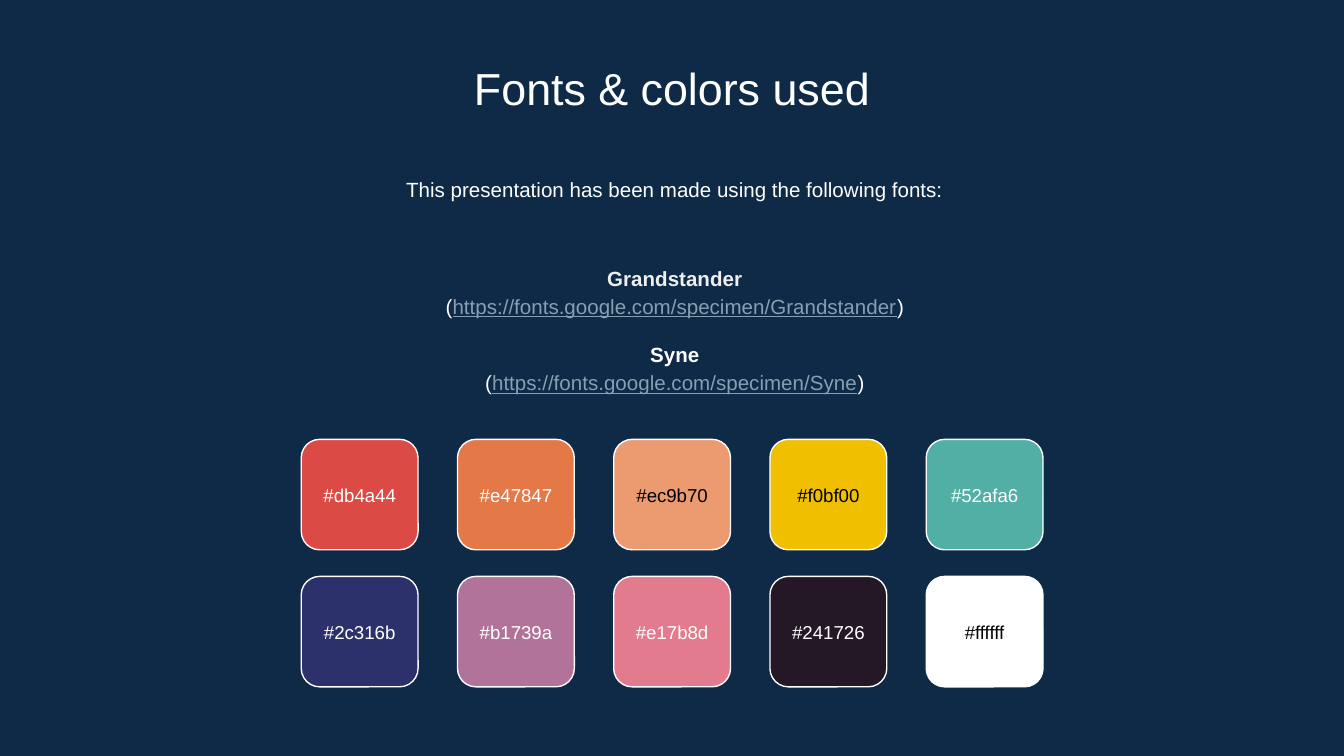
from dataclasses import dataclass

from pptx import Presentation
from pptx.dml.color import RGBColor
from pptx.enum.shapes import MSO_SHAPE
from pptx.enum.text import MSO_ANCHOR, MSO_AUTO_SIZE, PP_ALIGN
from pptx.util import Pt


@dataclass(frozen=True)
class Theme:
    font: str = "Arial"
    background: str = "0E2A47"
    light: str = "FFFFFF"
    dark: str = "000000"
    soft: str = "EFEFEF"
    link: str = "869FB2"
    title_size: float = 24
    body_size: float = 11
    label_size: float = 10
    outline: float = 0.75
    inset: float = 7.2


THEME = Theme()

FONTS = [
    ("Grandstander", "https://fonts.google.com/specimen/Grandstander", THEME.soft),
    ("Syne", "https://fonts.google.com/specimen/Syne", THEME.light),
]
SWATCHES = [
    ["#db4a44", "#e47847", "#ec9b70", "#f0bf00", "#52afa6"],
    ["#2c316b", "#b1739a", "#e17b8d", "#241726", "#ffffff"],
]


def color(code):
    return RGBColor.from_string(code.lstrip("#").upper())


def add_run(paragraph, text, size=THEME.body_size, fill=THEME.light,
            bold=False, underline=False):
    run = paragraph.add_run()
    run.text = text
    font = run.font
    font.name, font.size = THEME.font, Pt(size)
    font.bold, font.underline = bold, underline
    font.color.rgb = color(fill)


def format_frame(frame, anchor=MSO_ANCHOR.TOP, inset=THEME.inset):
    frame.word_wrap = True
    frame.auto_size = MSO_AUTO_SIZE.NONE
    frame.vertical_anchor = anchor
    frame.margin_left = frame.margin_right = Pt(inset)
    frame.margin_top = frame.margin_bottom = Pt(inset)


def center(paragraph, line_spacing=1.0, before=0):
    paragraph.alignment = PP_ALIGN.CENTER
    paragraph.line_spacing = line_spacing
    paragraph.space_before = Pt(before)
    return paragraph


def add_title(slide, text, left, top, width, height):
    title = slide.shapes.title
    title.left, title.top = Pt(left), Pt(top)
    title.width, title.height = Pt(width), Pt(height)
    format_frame(title.text_frame)
    add_run(center(title.text_frame.paragraphs[0]), text, size=THEME.title_size)


def add_text_box(slide, left, top, width, height, anchor=MSO_ANCHOR.TOP):
    box = slide.shapes.add_textbox(Pt(left), Pt(top), Pt(width), Pt(height))
    format_frame(box.text_frame, anchor)
    return box.text_frame


def add_intro(slide, text, left, top, width, height):
    frame = add_text_box(slide, left, top, width, height)
    add_run(center(frame.paragraphs[0], line_spacing=1.15), text)


def add_font_list(slide, fonts, left, top, width, height):
    frame = add_text_box(slide, left, top, width, height, MSO_ANCHOR.MIDDLE)
    for index, (name, address, name_color) in enumerate(fonts):
        heading = frame.add_paragraph() if index else frame.paragraphs[0]
        center(heading, line_spacing=1.15, before=10.6 if index else 0)
        add_run(heading, name, fill=name_color, bold=True)
        source = center(frame.add_paragraph(), line_spacing=1.15)
        add_run(source, "(")
        add_run(source, address, fill=THEME.link, underline=True)
        add_run(source, ")")


def label_color(code):
    """Dark text on bright swatches, light text on the rest."""
    red, green, blue = color(code)
    brightness = 0.3 * red + 0.59 * green + 0.11 * blue
    return THEME.dark if brightness > 165 else THEME.light


def add_swatch(slide, code, left, top, width, height):
    swatch = slide.shapes.add_shape(
        MSO_SHAPE.ROUNDED_RECTANGLE, Pt(left), Pt(top), Pt(width), Pt(height))
    swatch.shadow.inherit = False
    swatch.fill.solid()
    swatch.fill.fore_color.rgb = color(code)
    swatch.line.color.rgb = color(THEME.light)
    swatch.line.width = Pt(THEME.outline)
    format_frame(swatch.text_frame, MSO_ANCHOR.MIDDLE, inset=0)
    add_run(center(swatch.text_frame.paragraphs[0]), code,
            size=THEME.label_size, fill=label_color(code))


def add_palette(slide, rows, left, top, width, height, gap_x=21.1, gap_y=14.2):
    columns = len(rows[0])
    swatch_width = (width - gap_x * (columns - 1)) / columns
    swatch_height = (height - gap_y * (len(rows) - 1)) / len(rows)
    for row, codes in enumerate(rows):
        for column, code in enumerate(codes):
            add_swatch(slide, code,
                       left + column * (swatch_width + gap_x),
                       top + row * (swatch_height + gap_y),
                       swatch_width, swatch_height)


def main():
    presentation = Presentation()
    presentation.slide_width, presentation.slide_height = Pt(720), Pt(405)
    slide = presentation.slides.add_slide(presentation.slide_layouts[5])
    slide.background.fill.solid()
    slide.background.fill.fore_color.rgb = color(THEME.background)

    # Heading and introduction
    add_title(slide, "Fonts & colors used", 82.5, 25.2, 555, 38.2)
    add_intro(slide, "This presentation has been made using the following fonts:",
              84, 85.7, 555, 34.5)

    # Font names with their sources
    add_font_list(slide, FONTS, 84, 126.7, 555, 98.6)

    # Color swatches
    add_palette(slide, SWATCHES, 161.4, 235.4, 397.4, 132.6)

    presentation.save("out.pptx")


if __name__ == "__main__":
    main()
